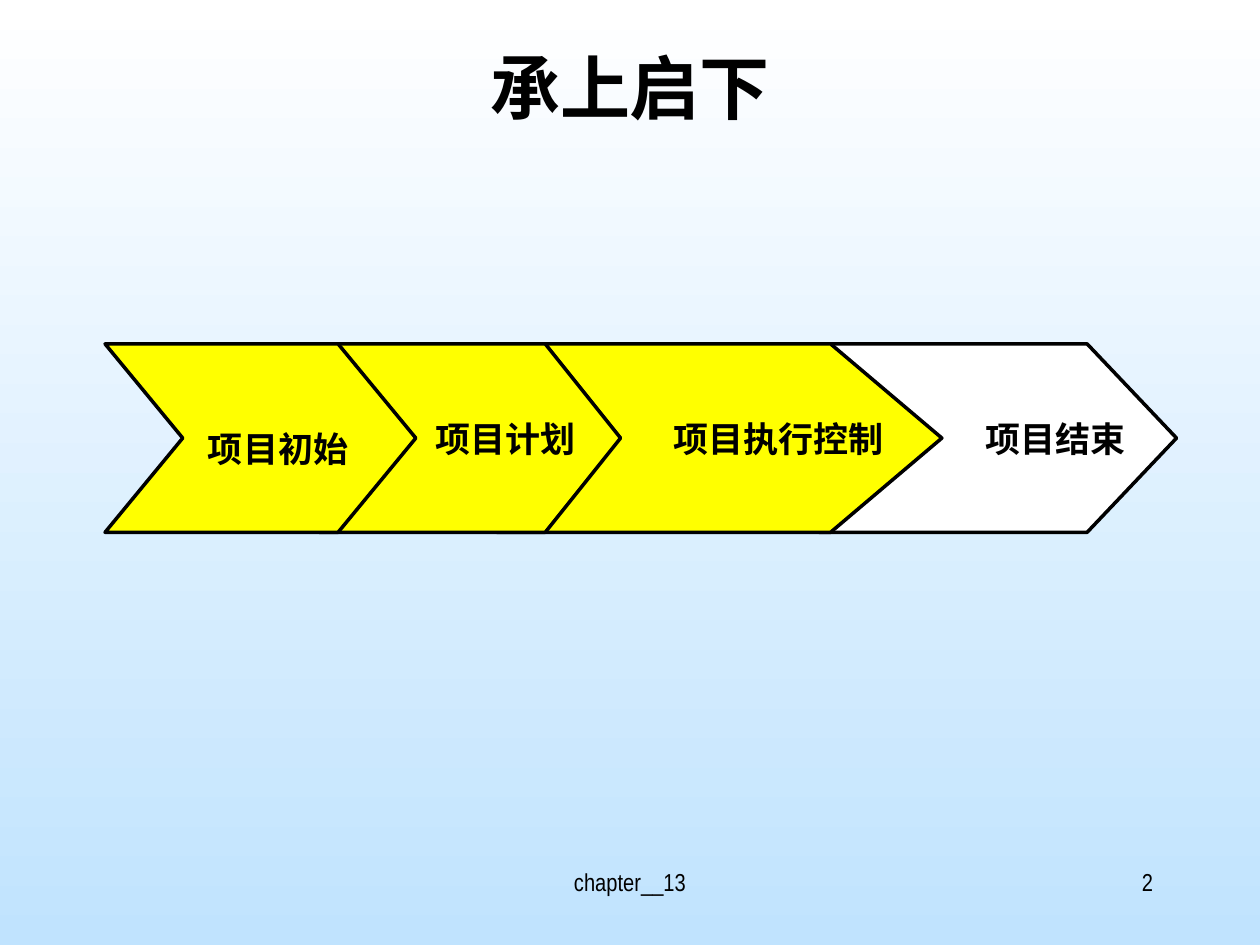
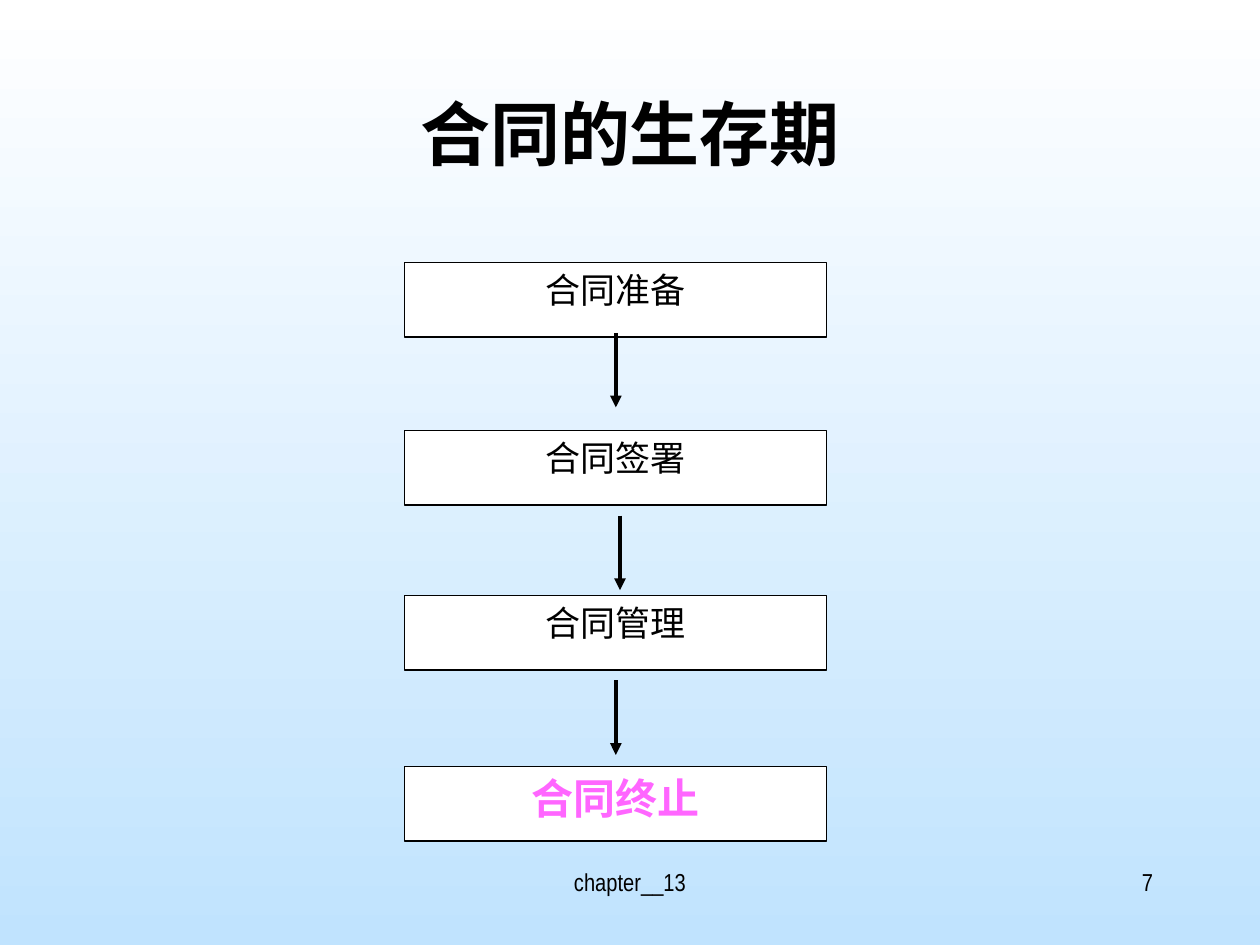
from lxml import etree
from pptx import Presentation
from pptx import util as u
from pptx.dml.color import RGBColor
from pptx.enum import shapes, text
from pptx.oxml.ns import qn

COLUMNS, ROWS = 120, 90
WIDTH, HEIGHT = u.Inches(10), u.Inches(7.5)
BLACK = RGBColor(0, 0, 0)
WHITE = RGBColor(255, 255, 255)
YELLOW = RGBColor(255, 255, 0)
PINK = RGBColor(0xFF, 0x66, 0xFF)
SKY = RGBColor(0xC0, 0xE3, 0xFE)
CJK_FONT = "Noto Sans CJK SC"

TITLE = {"name": CJK_FONT, "size": u.Pt(40), "bold": True}
FOOTER = {"name": "Arial Narrow", "size": u.Pt(14)}
PHASE = {"name": "Arial Narrow", "size": u.Pt(20), "bold": True}
STAGE = {"name": "Times New Roman", "size": u.Pt(20)}
FINAL_STAGE = {"name": "Times New Roman", "size": u.Pt(24), "bold": True}

PHASE_TOP, PHASE_HEIGHT = 32.75, 17.95
PHASES = [
    ("项目结束", 78, 34.05, WHITE, {"margin_left": u.Inches(1.02)}),
    ("项目执行控制", 47.3, 42.4, YELLOW, {"margin_left": u.Inches(1.04)}),
    ("项目计划", 30.4, 28.7, YELLOW, {"margin_left": u.Inches(0.67)}),
    ("项目初始", 10, 29.6, YELLOW,
     {"margin_left": u.Inches(0.38), "margin_top": u.Inches(0.21)}),
]

STAGE_LEFT, STAGE_WIDTH, STAGE_HEIGHT = 38.5, 40.2, 7.1
STAGES = [
    ("合同准备", 25, STAGE, BLACK),
    ("合同签署", 41, STAGE, BLACK),
    ("合同管理", 56.7, STAGE, BLACK),
    ("合同终止", 73, FINAL_STAGE, PINK),
]
ARROWS = [(58.65, 31.7), (59.05, 49.1), (58.65, 64.8)]


def column(count):
    return u.Emu(round(WIDTH * count / COLUMNS))


def row(count):
    return u.Emu(round(HEIGHT * count / ROWS))


def area(left, top, width, height):
    return column(left), row(top), column(width), row(height)


def set_attributes(target, values):
    for name, value in values.items():
        setattr(target, name, value)


def write(shape, words, font, color=BLACK, align=text.PP_ALIGN.CENTER,
          anchor=text.MSO_ANCHOR.TOP, margins=None):
    frame = shape.text_frame
    set_attributes(frame, {"word_wrap": True, "vertical_anchor": anchor,
                           "auto_size": text.MSO_AUTO_SIZE.NONE, **(margins or {})})
    paragraph = frame.paragraphs[0]
    paragraph.alignment = align
    run = paragraph.add_run()
    run.text = words
    set_attributes(run.font, font)
    run.font.color.rgb = color
    east_asian = etree.SubElement(run._r.get_or_add_rPr(), qn("a:ea"))
    east_asian.set("typeface", CJK_FONT)


def paint(shape, fill, line_width):
    shape.shadow.inherit = False
    shape.fill.solid()
    shape.fill.fore_color.rgb = fill
    shape.line.color.rgb = BLACK
    shape.line.width = u.Pt(line_width)


def paint_background(master):
    fill = master.background.fill
    fill.gradient()
    fill.gradient_angle = 270
    for stop, color in zip(fill.gradient_stops, (WHITE, SKY)):
        stop.color.rgb = color


def add_slide(presentation, title, title_area, number):
    slide = presentation.slides.add_slide(presentation.slide_layouts[5])
    place = dict(zip(("left", "top", "width", "height"), area(*title_area)))
    set_attributes(slide.shapes.title, place)
    write(slide.shapes.title, title, TITLE)
    chapter = slide.shapes.add_textbox(*area(41, 82, 38, 6))
    write(chapter, "chapter__13", FOOTER)
    page = slide.shapes.add_textbox(*area(86, 82, 25, 6))
    write(page, number, FOOTER, align=text.PP_ALIGN.RIGHT)
    return slide


def add_phase(slide, words, left, width, fill, margins):
    notch = width / 4
    right, bottom = left + width, PHASE_TOP + PHASE_HEIGHT
    middle = PHASE_TOP + PHASE_HEIGHT / 2
    outline = [(right - notch, PHASE_TOP), (right, middle), (right - notch, bottom),
               (left, bottom), (left + notch, middle)]
    builder = slide.shapes.build_freeform(column(left), row(PHASE_TOP))
    builder.add_line_segments([(column(x), row(y)) for x, y in outline])
    phase = builder.convert_to_shape()
    paint(phase, fill, 2)
    write(phase, words, PHASE, anchor=text.MSO_ANCHOR.MIDDLE, margins=margins)


def add_stage(slide, words, top, font, color):
    stage = slide.shapes.add_shape(
        shapes.MSO_SHAPE.RECTANGLE, *area(STAGE_LEFT, top, STAGE_WIDTH, STAGE_HEIGHT))
    paint(stage, WHITE, 0.75)
    write(stage, words, font, color)


def add_arrow(slide, x, top):
    arrow = slide.shapes.add_connector(
        shapes.MSO_CONNECTOR.STRAIGHT,
        column(x), row(top), column(x), row(top + STAGE_HEIGHT))
    arrow.line.color.rgb = BLACK
    arrow.line.width = u.Pt(2.25)
    etree.SubElement(arrow.line._get_or_add_ln(), qn("a:tailEnd")).set("type", "triangle")
    etree.SubElement(arrow._element.spPr, qn("a:effectLst"))


def main():
    presentation = Presentation()
    presentation.slide_width, presentation.slide_height = WIDTH, HEIGHT
    paint_background(presentation.slide_master)

    overview = add_slide(presentation, "承上启下", (6, 3.6, 108, 15), "2")
    for phase in PHASES:
        add_phase(overview, *phase)

    lifetime = add_slide(presentation, "合同的生存期", (9, 8, 102, 15), "7")
    for stage in STAGES:
        add_stage(lifetime, *stage)
    for arrow in ARROWS:
        add_arrow(lifetime, *arrow)

    presentation.save("out.pptx")


if __name__ == "__main__":
    main()
